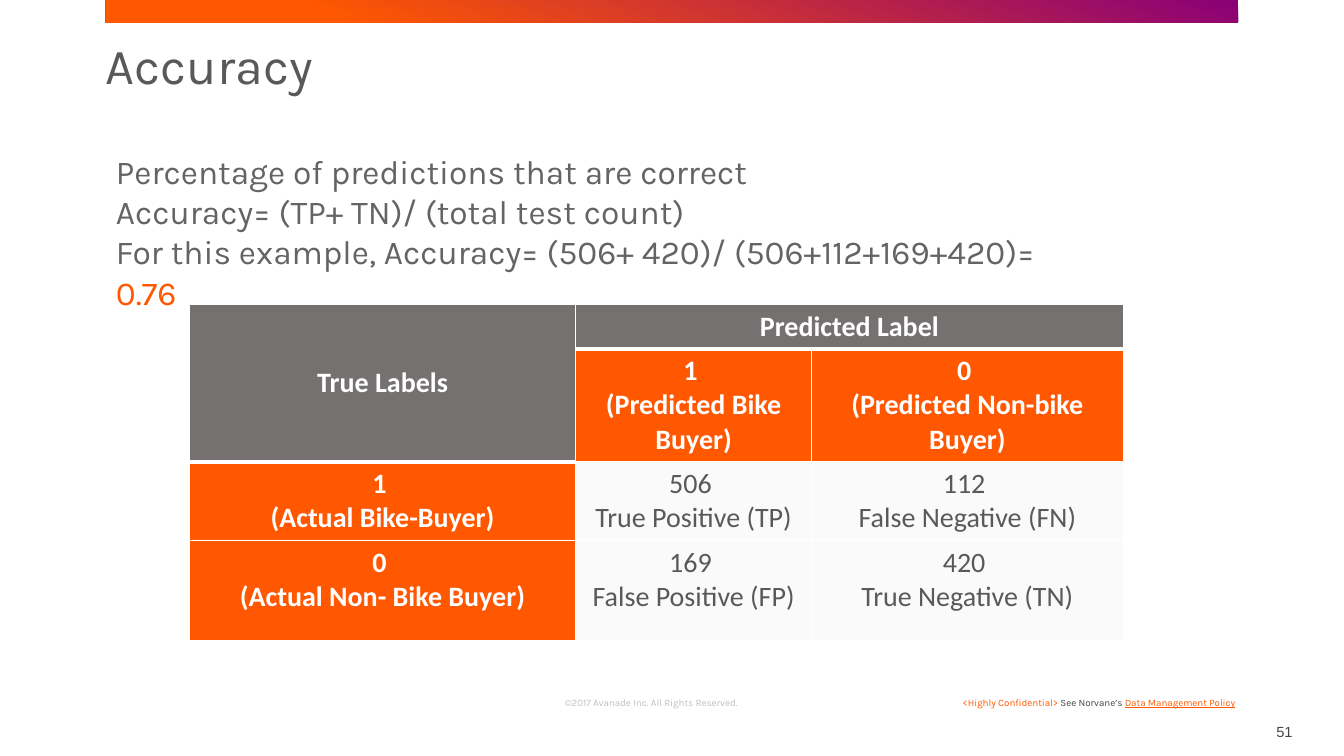
import pptx
import pptx.dml.color
import pptx.enum.text
import pptx.oxml
import pptx.oxml.ns
import pptx.util
from pptx.util import Inches

ALIGN = pptx.enum.text.PP_ALIGN
ANCHOR = pptx.enum.text.MSO_ANCHOR
ORANGE, PURPLE, WHITE = "FF5800", "890078", "FFFFFF"
HEADER_GRAY, CELL_GRAY = "767171", "FAFAFA"
TITLE_GRAY, BODY_GRAY, FOOTER_GRAY, COPYRIGHT_GRAY = "595959", "646464", "464646", "BFBFBF"


def rgb(value):
    return pptx.dml.color.RGBColor.from_string(value)


class AccuracySlide:
    heading_font, table_font, number_font = "Karla", "Calibri", "Arial"

    def __init__(self, deck):
        self.slide = deck.slides.add_slide(deck.slide_layouts[1])

    def style(self, font, name, size, color, bold=False):
        font.name, font.size, font.bold = name, pptx.util.Pt(size), bold
        font.color.rgb = rgb(color)

    def place(self, shape, box):
        shape.left, shape.top, shape.width, shape.height = map(Inches, box)

    def frame(self, shape, inset_x=0.0, inset_y=0.0, anchor=ANCHOR.TOP):
        """Set the insets and anchor of a shape's text and return its text frame."""
        frame = shape.text_frame
        frame.word_wrap = True
        frame.auto_size = pptx.enum.text.MSO_AUTO_SIZE.NONE
        frame.vertical_anchor = anchor
        frame.margin_left = frame.margin_right = Inches(inset_x)
        frame.margin_top = frame.margin_bottom = Inches(inset_y)
        return frame

    def band(self, box):
        band = self.slide.shapes.add_shape(
            pptx.enum.shapes.MSO_SHAPE.RECTANGLE, *map(Inches, box))
        band.shadow.inherit = False
        band.line.fill.background()
        band.fill.gradient()
        band.fill.gradient_angle = 250
        for stop, (color, position) in zip(band.fill.gradient_stops, ((PURPLE, 0), (ORANGE, 0.8))):
            stop.color.rgb, stop.position = rgb(color), position

    def title(self, text, box):
        title = self.slide.shapes.title
        self.place(title, box)
        paragraph = self.frame(title).paragraphs[0]
        paragraph.text = text
        paragraph.alignment, paragraph.line_spacing = ALIGN.LEFT, 0.8
        self.style(paragraph.font, self.heading_font, 36, TITLE_GRAY)

    def body(self, lines, result, box):
        """Fill the body placeholder; the result ends the last line in orange."""
        body = self.slide.placeholders[1]
        self.place(body, box)
        frame = self.frame(body, 0.1, 0.05)
        frame.text = "\n".join(lines)
        for paragraph in frame.paragraphs:
            properties = paragraph._p.get_or_add_pPr()
            properties.set("marL", "0")
            properties.set("indent", "0")
            properties.append(pptx.oxml.parse_xml(f"<a:buNone {pptx.oxml.ns.nsdecls('a')}/>"))
            paragraph.space_before = pptx.util.Pt(0)
            self.style(paragraph.font, self.heading_font, 23.9, BODY_GRAY)
        answer = frame.paragraphs[-1].add_run()
        answer.text = result
        answer.font.color.rgb = rgb(ORANGE)

    def label(self, parts, box, font, size, align, inset_x=0.0, inset_y=0.0,
              anchor=ANCHOR.BOTTOM, spacing=None):
        """Add one line made of (text, colour, underlined) parts."""
        shape = self.slide.shapes.add_textbox(*map(Inches, box))
        paragraph = self.frame(shape, inset_x, inset_y, anchor).paragraphs[0]
        paragraph.alignment, paragraph.line_spacing = align, spacing
        self.style(paragraph.font, font, size, parts[0][1])
        for text, color, underlined in parts:
            run = paragraph.add_run()
            run.text = text
            run.font.color.rgb = rgb(color)
            run.font.underline = underlined

    def cell_borders(self, cell, bottom):
        for side, points in (("L", 1), ("R", 1), ("T", 1), ("B", bottom)):
            cell._tc.get_or_add_tcPr().append(pptx.oxml.parse_xml(
                f'<a:ln{side} {pptx.oxml.ns.nsdecls("a")} w="{pptx.util.Pt(points)}">'
                f'<a:solidFill><a:srgbClr val="{WHITE}"/></a:solidFill></a:ln{side}>'))

    def matrix(self, rows, widths, heights, left, top):
        """Add the confusion matrix with its merged header cells."""
        table = self.slide.shapes.add_table(
            len(heights), len(widths), Inches(left), Inches(top),
            Inches(sum(widths)), Inches(sum(heights))).table
        for column, width in zip(table.columns, widths):
            column.width = Inches(width)
        for row, height in zip(table.rows, heights):
            row.height = Inches(height)
        table.cell(0, 0).merge(table.cell(1, 0))
        table.cell(0, 1).merge(table.cell(0, 2))
        for r, texts in enumerate(rows):
            for c, text in enumerate(texts):
                cell = table.cell(r, c)
                is_count = r > 1 and c > 0
                is_header = r == 0 or (r, c) == (1, 0)
                self.cell_borders(cell, 3 if is_header else 1)
                cell.fill.solid()
                cell.fill.fore_color.rgb = rgb(
                    HEADER_GRAY if is_header else CELL_GRAY if is_count else ORANGE)
                if cell.is_spanned:
                    continue
                cell.text = text
                for paragraph in cell.text_frame.paragraphs:
                    paragraph.alignment = ALIGN.CENTER
                    self.style(paragraph.font, self.table_font, 20,
                               TITLE_GRAY if is_count else WHITE, not is_count)
        table.cell(0, 0).vertical_anchor = ANCHOR.MIDDLE


def main():
    deck = pptx.Presentation()
    deck.slide_width, deck.slide_height = Inches(13.33), Inches(7.5)
    page = AccuracySlide(deck)
    page.band((1.05, 0, 11.23, 0.22))
    page.label([("©2017 Avanade Inc. All Rights Reserved.", COPYRIGHT_GRAY, None)],
               (5.1, 6.85, 2.72, 0.18), page.heading_font, 7, ALIGN.CENTER, spacing=0.9)
    page.label([("<Highly Confidential> ", ORANGE, None),
                ("See Norvane’s ", FOOTER_GRAY, None),
                ("Data Management Policy", ORANGE, True)],
               (9.31, 6.86, 3.04, 0.22), page.heading_font, 7, ALIGN.RIGHT,
               0.1, 0.05, ANCHOR.TOP)
    page.label([("51", FOOTER_GRAY, None)], (12.28, 6.95, 0.54, 0.4),
               page.number_font, 10.5, ALIGN.RIGHT, spacing=pptx.util.Pt(12.1))
    page.title("Accuracy", (1.05, 0.45, 11.86, 1))
    page.body(["Percentage of predictions that are correct",
               "Accuracy= (TP+ TN)/ (total test count)",
               "For this example, Accuracy= (506+ 420)/ (506+112+169+420)= "],
              "0.76", (1.05, 1.45, 9.67, 1.31))
    page.matrix([("True Labels", "Predicted Label", ""),
                 ("", "1 \n(Predicted Bike Buyer)", "0 \n(Predicted Non-bike Buyer)"),
                 ("1 \n(Actual Bike-Buyer)", "506 \nTrue Positive (TP)",
                  "112 \nFalse Negative (FN)"),
                 ("0 \n(Actual Non- Bike Buyer)", "169 \nFalse Positive (FP)",
                  "420 \nTrue Negative (TN)")],
                (3.83, 2.34, 3.09), (0.43, 1.08, 0.75, 0.99), 1.88, 3.02)
    deck.save("out.pptx")


if __name__ == "__main__":
    main()
